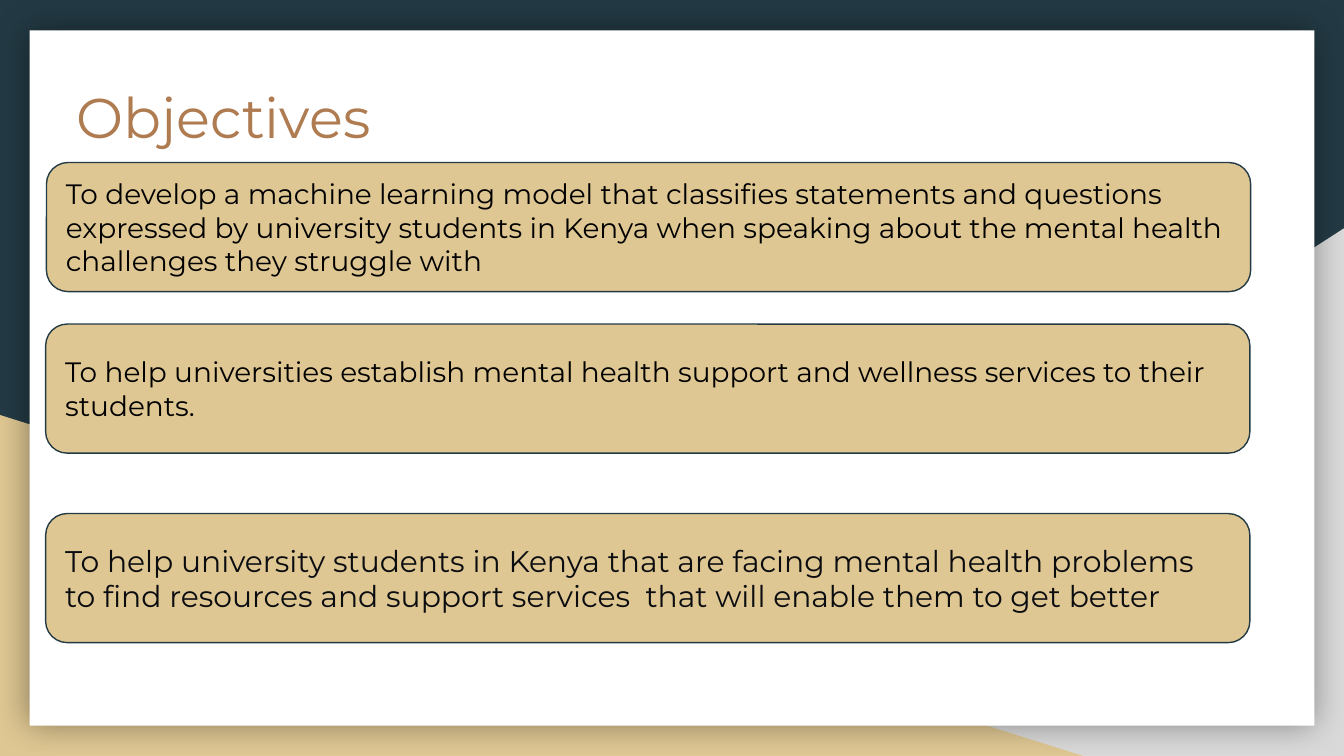
from dataclasses import dataclass

from lxml import etree
from pptx import Presentation
from pptx import util as u
from pptx.dml.color import RGBColor
from pptx.enum import shapes, text
from pptx.oxml.ns import qn


@dataclass(frozen=True)
class Theme:
    navy: str = "233A44"
    sand: str = "DFC793"
    grey: str = "D9D9D9"
    white: str = "FFFFFF"
    bronze: str = "AF7B51"
    black: str = "000000"
    ink: str = "0A0C10"
    font: str = "Montserrat"
    title_size: int = 30
    body_size: int = 15
    large_body_size: int = 16


@dataclass(frozen=True)
class Box:
    """Place and size in percent of the slide's width and height."""
    left: float
    top: float
    width: float
    height: float

    def lengths(self) -> list[int]:
        return [round(share * side / 100) for share, side in
                ((self.left, WIDTH), (self.top, HEIGHT),
                 (self.width, WIDTH), (self.height, HEIGHT))]


@dataclass(frozen=True)
class Objective:
    wording: str
    left: float
    top: float
    size: int = Theme.body_size
    color: str = Theme.black


THEME = Theme()
WIDTH = u.Inches(10)
HEIGHT = WIDTH * 9 // 16
CARD_WIDTH, CARD_HEIGHT = 89.6, 17.07

OBJECTIVES = [
    Objective("To develop a machine learning model that classifies statements and "
              "questions expressed by university students in Kenya when speaking "
              "about the mental health challenges they struggle with", 3.46, 21.5),
    Objective("To help universities establish mental health support and wellness "
              "services to their students.", 3.4, 42.87),
    Objective("To help university students in Kenya that are facing mental health "
              "problems to find resources and support services  that will enable "
              "them to get better", 3.4, 67.93, THEME.large_body_size, THEME.ink),
]


def add_block(slide, preset, box: Box, fill: str, line: str | None = None):
    shape = slide.shapes.add_shape(preset, *box.lengths())
    shape.shadow.inherit = False
    shape.fill.solid()
    shape.fill.fore_color.rgb = RGBColor.from_string(fill)
    if line:
        shape.line.color.rgb = RGBColor.from_string(line)
        shape.line.width = u.Pt(0.75)
    else:
        shape.line.fill.background()
    return shape


def add_glow(shape, color: str, opacity: int, blur: int) -> None:
    """Give the shape a soft shadow on all sides."""
    effects = shape._element.spPr.find(qn("a:effectLst"))
    shadow = etree.SubElement(effects, qn("a:outerShdw"), blurRad=str(u.Pt(blur)),
                              dist="0", dir="0", algn="ctr", rotWithShape="0")
    tint = etree.SubElement(shadow, qn("a:srgbClr"), val=color)
    etree.SubElement(tint, qn("a:alpha"), val=str(opacity * 1000))


def write(shape, wording: str, *, size: int, color: str,
          anchor=text.MSO_ANCHOR.TOP) -> None:
    frame = shape.text_frame
    frame.word_wrap = True
    frame.vertical_anchor = anchor
    frame.margin_left = frame.margin_right = u.Inches(0.1)
    frame.margin_top = frame.margin_bottom = u.Inches(0.1)
    paragraph = frame.paragraphs[0]
    paragraph.alignment = text.PP_ALIGN.LEFT
    run = paragraph.add_run()
    run.text = wording
    run.font.name = THEME.font
    run.font.size = u.Pt(size)
    run.font.color.rgb = RGBColor.from_string(color)


def draw_backdrop(slide) -> None:
    slide.background.fill.solid()
    slide.background.fill.fore_color.rgb = RGBColor.from_string(THEME.navy)
    triangle = shapes.MSO_SHAPE.RIGHT_TRIANGLE
    right_corner = add_block(slide, triangle, Box(39.2, 30.2, 60.8, 69.8), THEME.grey)
    right_corner._element.spPr.xfrm.set("flipH", "1")
    add_block(slide, triangle, Box(0, 54.9, 80.6, 45.1), THEME.sand)
    panel = add_block(slide, shapes.MSO_SHAPE.RECTANGLE,
                      Box(2.2, 4, 95.6, 92), THEME.white)
    add_glow(panel, THEME.black, opacity=40, blur=18)


def draw_objective(slide, objective: Objective) -> None:
    box = Box(objective.left, objective.top, CARD_WIDTH, CARD_HEIGHT)
    card = add_block(slide, shapes.MSO_SHAPE.ROUNDED_RECTANGLE, box,
                     THEME.sand, THEME.navy)
    write(card, objective.wording, size=objective.size, color=objective.color,
          anchor=text.MSO_ANCHOR.MIDDLE)


def main() -> None:
    presentation = Presentation()
    presentation.slide_width, presentation.slide_height = WIDTH, HEIGHT
    slide = presentation.slides.add_slide(presentation.slide_layouts[6])
    draw_backdrop(slide)
    title = slide.shapes.add_textbox(*Box(4.7, 9.2, 86.3, 25.8).lengths())
    write(title, "Objectives", size=THEME.title_size, color=THEME.bronze)
    for objective in OBJECTIVES:
        draw_objective(slide, objective)
    presentation.save("out.pptx")


if __name__ == "__main__":
    main()
